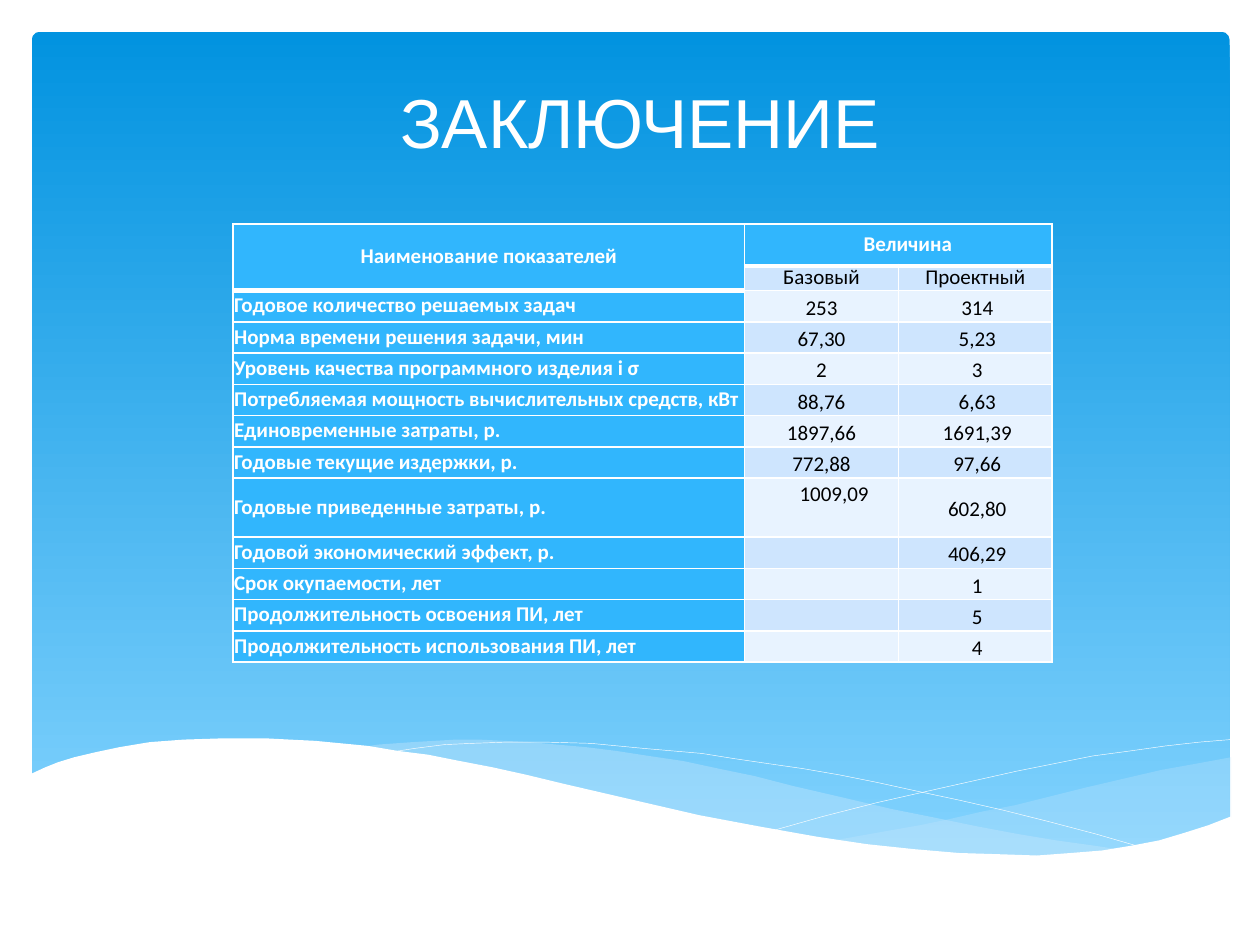
import pptx
import pptx.util
import pptx.dml.color
import pptx.enum.shapes
import pptx.enum.text
import lxml.etree
from pptx.util import Cm

NAMESPACE = "{http://schemas.openxmlformats.org/drawingml/2006/main}"
CENTER = pptx.enum.text.PP_ALIGN.CENTER
LEFT = pptx.enum.text.PP_ALIGN.LEFT
MIDDLE = pptx.enum.text.MSO_ANCHOR.MIDDLE
TOP = pptx.enum.text.MSO_ANCHOR.TOP
BOTTOM = pptx.enum.text.MSO_ANCHOR.BOTTOM

WHITE = "FFFFFF"
BLACK = "000000"
ACCENT = "31B6FD"
BANDS = ["E8F3FF", "CEE5FE"]
POINT_SCALE = Cm(2.54) / 100
THICK_TOPS = {(1, 1), (1, 2), (2, 0)}
TALL_ROW = 8

INDICATORS = [
    ("Годовое количество решаемых задач", "253", "314"),
    ("Норма времени решения задачи, мин", "67,30", "5,23"),
    ("Уровень качества программного изделия i σ", "2", "3"),
    ("Потребляемая мощность вычислительных средств, кВт", "88,76", "6,63"),
    ("Единовременные затраты, р.", "1897,66", "1691,39"),
    ("Годовые текущие издержки, р.", "772,88", "97,66"),
    ("Годовые приведенные затраты, р.", "1009,09", "602,80"),
    ("Годовой экономический эффект, р.", "", "406,29"),
    ("Срок окупаемости, лет", "", "1"),
    ("Продолжительность освоения ПИ, лет", "", "5"),
    ("Продолжительность использования ПИ, лет", "", "4"),
]

RIGHT_WAVE = [
    (977, 601), (950, 606), (922, 611), (892, 618), (862, 625), (834, 632),
    (806, 639), (780, 644), (754, 650), (730, 655), (707, 659), (662, 667),
    (692, 671), (719, 674), (746, 677), (770, 679), (804, 680), (836, 679),
    (864, 677), (890, 674), (914, 669), (937, 663), (951, 659), (964, 654),
    (977, 649),
]
MIDDLE_WAVE = [
    (894, 675), (867, 671), (838, 667), (808, 662), (776, 656), (742, 649),
    (707, 642), (669, 633), (630, 624), (599, 616), (570, 610), (542, 604),
    (515, 600), (489, 596), (465, 593), (442, 591), (420, 589), (400, 588),
    (380, 587), (362, 587), (345, 588), (328, 589), (300, 591), (287, 593),
    (323, 598), (363, 604), (405, 613), (450, 624), (491, 634), (530, 642),
    (567, 650), (602, 657), (635, 663), (666, 668), (696, 672), (723, 676),
    (749, 678), (774, 679), (808, 680), (839, 680), (868, 678), (894, 675),
]
FALLING_LINE = [
    (310, 597), (329, 594), (353, 591), (375, 590), (402, 589), (433, 589),
    (469, 590), (511, 594), (557, 598), (582, 602), (609, 606), (637, 610),
    (666, 615), (696, 621), (728, 628), (761, 635), (796, 643), (832, 652),
    (870, 662), (908, 673),
]
RISING_LINE = [
    (614, 659), (653, 648), (696, 637), (749, 625), (807, 612), (867, 600),
    (897, 596), (925, 592), (952, 589), (976, 587),
]
FRONT_WAVE = [
    (977, 648), (959, 655), (940, 661), (920, 667), (899, 671), (875, 675),
    (850, 677), (823, 679), (793, 678), (761, 677), (726, 674), (688, 670),
    (648, 664), (603, 656), (555, 647), (503, 635), (447, 622), (418, 615),
    (391, 609), (365, 604), (340, 599), (316, 596), (292, 592), (271, 590),
    (250, 588), (230, 587), (211, 586), (177, 586), (146, 587), (119, 589),
    (95, 593), (76, 597), (59, 601), (46, 605), (36, 609), (23, 615),
    (23, 731), (977, 731),
]


def color(hex_string):
    return pptx.dml.color.RGBColor.from_string(hex_string)


def add_run(paragraph, text, size, hex_color, font, bold=False):
    run = paragraph.add_run()
    run.text = text
    run.font.size = pptx.util.Pt(size)
    run.font.name = font
    run.font.bold = bold
    run.font.color.rgb = color(hex_color)


def add_backdrop(slide):
    shape = slide.shapes.add_shape(
        pptx.enum.shapes.MSO_SHAPE.ROUNDED_RECTANGLE,
        Cm(0.64), Cm(0.64), Cm(24.15), Cm(16.76))
    shape.adjustments[0] = 0.01
    shape.shadow.inherit = False
    shape.line.fill.background()
    shape.fill.gradient()
    shape.fill.gradient_angle = 270
    for stop, hex_color in zip(shape.fill.gradient_stops, ["0293E0", "83D3FE"]):
        stop.color.rgb = color(hex_color)


def build_outline(slide, points, close):
    builder = slide.shapes.build_freeform(*points[0], scale=POINT_SCALE)
    builder.add_line_segments(points[1:], close=close)
    shape = builder.convert_to_shape()
    shape.shadow.inherit = False
    return shape


def add_wave(slide, points, hex_color, opacity=100):
    shape = build_outline(slide, points, True)
    shape.line.fill.background()
    shape.fill.solid()
    shape.fill.fore_color.rgb = color(hex_color)
    if opacity < 100:
        fill_color = shape._element.spPr.find(f".//{NAMESPACE}srgbClr")
        lxml.etree.SubElement(fill_color, NAMESPACE + "alpha", val=str(opacity * 1000))


def add_curve(slide, points):
    shape = build_outline(slide, points, False)
    shape.fill.background()
    shape.line.color.rgb = color(WHITE)
    shape.line.width = pptx.util.Pt(0.25)


def format_title(slide, text):
    title = slide.shapes.title
    title.left, title.top, title.width, title.height = Cm(2.11), Cm(1.32), Cm(21.59), Cm(2.08)
    title.text_frame.auto_size = pptx.enum.text.MSO_AUTO_SIZE.NONE
    title.text_frame.vertical_anchor = BOTTOM
    paragraph = title.text_frame.paragraphs[0]
    paragraph.alignment = CENTER
    add_run(paragraph, text, 39.6, WHITE, "Arial")
    slide.shapes._spTree.append(title._element)


def set_borders(cell, top, bottom):
    properties = cell._tc.get_or_add_tcPr()
    for side, width in (("L", 1), ("R", 1), ("T", top), ("B", bottom)):
        line = lxml.etree.SubElement(
            properties, f"{NAMESPACE}ln{side}", w=str(pptx.util.Pt(width)))
        fill = lxml.etree.SubElement(line, NAMESPACE + "solidFill")
        lxml.etree.SubElement(fill, NAMESPACE + "srgbClr", val=WHITE)


def format_cell(cell, row, column):
    bottom_edge = (row + cell.span_height, column)
    set_borders(cell, 3 if (row, column) in THICK_TOPS else 1,
                3 if bottom_edge in THICK_TOPS else 1)
    cell.fill.solid()
    accented = row == 0 or column == 0
    cell.fill.fore_color.rgb = color(ACCENT if accented else BANDS[row % 2])
    cell.margin_left = cell.margin_right = Cm(0.02)
    cell.margin_top = cell.margin_bottom = 0
    cell.vertical_anchor = TOP if (row, column) == (TALL_ROW, 1) else MIDDLE


def fill_cell(cell, text, row, column):
    paragraph = cell.text_frame.paragraphs[0]
    if not text:
        lxml.etree.SubElement(paragraph._p, NAMESPACE + "endParaRPr", sz="1200")
        return
    accented = row == 0 or column == 0
    paragraph.alignment = LEFT if row > 1 and column == 0 else CENTER
    paragraph.line_spacing = pptx.util.Pt(13.9) if row < 2 or column == 0 else 1.15
    properties = paragraph._p.get_or_add_pPr()
    if (row, column) == (0, 1):
        properties.set("marL", str(Cm(0.38)))
    elif row > 1 and column > 0:
        indent = 0.51 if (row, column) == (TALL_ROW, 1) else (-0.08, 0.08)[column - 1]
        properties.set("indent", str(Cm(indent)))
    add_run(paragraph, text, 12, WHITE if accented else BLACK, "Calibri", accented)


def add_indicator_table(slide):
    rows = [("Наименование показателей", "Величина", ""),
            ("", "Базовый", "Проектный"), *INDICATORS]
    heights = [0.84, 0.5] + [0.63] * len(INDICATORS)
    heights[TALL_ROW] = 1.19
    widths = [10.31, 3.1, 3.1]
    frame = slide.shapes.add_table(
        len(rows), len(widths), Cm(4.7), Cm(4.52), Cm(sum(widths)), Cm(sum(heights)))
    table = frame.table
    table.first_row = table.horz_banding = False
    for column, width in zip(table.columns, widths):
        column.width = Cm(width)
    for row, height in zip(table.rows, heights):
        row.height = Cm(height)
    table.cell(0, 0).merge(table.cell(1, 0))
    table.cell(0, 1).merge(table.cell(0, 2))
    for row, texts in enumerate(rows):
        for column, text in enumerate(texts):
            cell = table.cell(row, column)
            format_cell(cell, row, column)
            fill_cell(cell, text, row, column)


def main():
    presentation = pptx.Presentation()
    presentation.slide_width, presentation.slide_height = Cm(25.4), Cm(19.05)
    slide = presentation.slides.add_slide(presentation.slide_layouts[5])
    add_backdrop(slide)
    add_wave(slide, RIGHT_WAVE, "C6E7FC", 29)
    add_wave(slide, MIDDLE_WAVE, "C6E7FC", 40)
    add_curve(slide, FALLING_LINE)
    add_curve(slide, RISING_LINE)
    add_wave(slide, FRONT_WAVE, WHITE)
    format_title(slide, "ЗАКЛЮЧЕНИЕ")
    add_indicator_table(slide)
    presentation.save("out.pptx")


if __name__ == "__main__":
    main()
